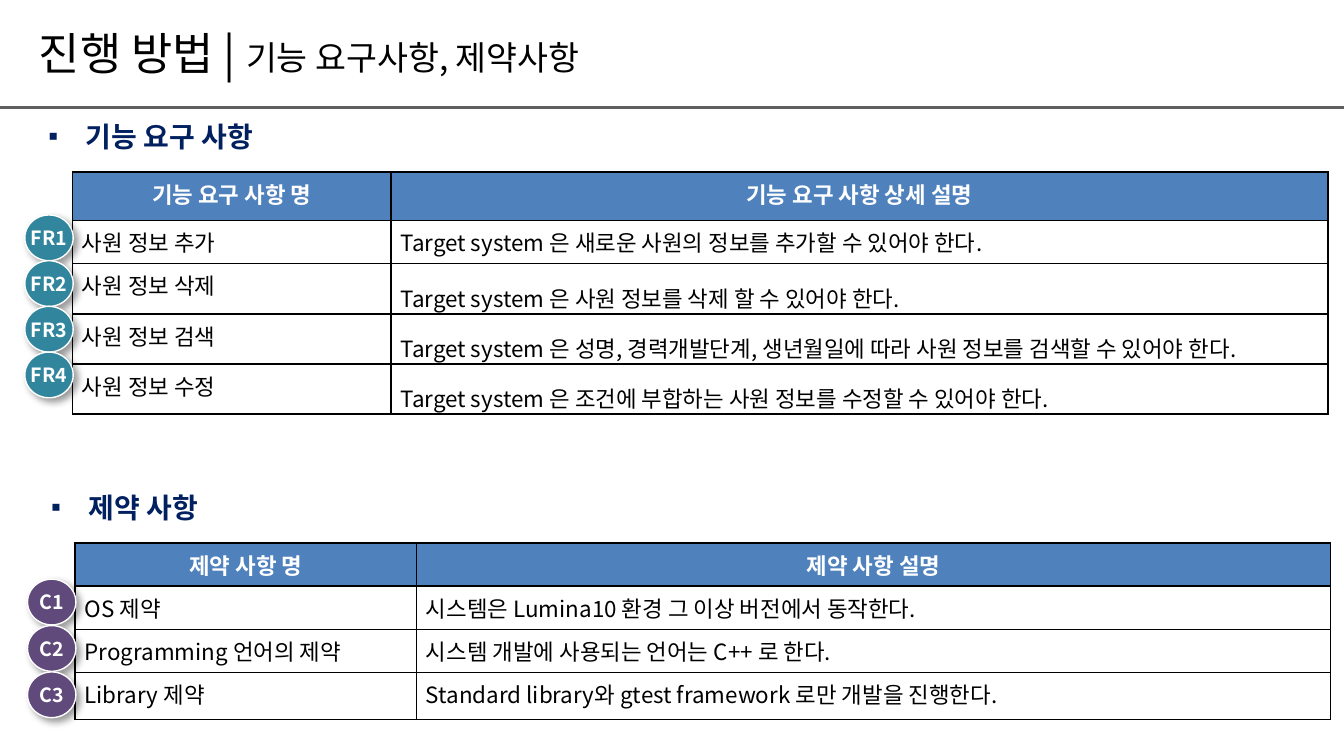
from collections import namedtuple

from lxml.etree import SubElement
from pptx import Presentation
from pptx.dml.color import RGBColor
from pptx.enum.shapes import MSO_CONNECTOR, MSO_SHAPE
from pptx.enum.text import MSO_ANCHOR, MSO_AUTO_SIZE, PP_ALIGN
from pptx.oxml.ns import qn
from pptx.util import Inches, Pt

FONT = "Noto Sans CJK KR"
BLACK, WHITE, NAVY = "000000", "FFFFFF", "002060"
HEADER_BLUE, RULE_GRAY = "4F81BD", "5F5F5F"
TEAL, PURPLE = "31859C", "604A7B"
COLUMNS, ROWS = 100, 56.25

Box = namedtuple("Box", "left top width height")
Section = namedtuple(
    "Section", "heading columns rows cells spaced_rows badges badge_top badge_pitch badge_color"
)

FUNCTIONS = Section(
    heading="기능 요구 사항",
    columns=(23.7, 69.7),
    rows=(3.6, 3, 2.8, 3.1, 2.9),
    cells=(
        ("기능 요구 사항 명", "기능 요구 사항 상세 설명"),
        ("사원 정보 추가", "Target system 은 새로운 사원의 정보를 추가할 수 있어야 한다."),
        ("사원 정보 삭제", "Target system 은 사원 정보를 삭제 할 수 있어야 한다."),
        ("사원 정보 검색", "Target system 은 성명, 경력개발단계, 생년월일에 따라 사원 정보를 검색할 수 있어야 한다."),
        ("사원 정보 수정", "Target system 은 조건에 부합하는 사원 정보를 수정할 수 있어야 한다."),
    ),
    spaced_rows=(2, 3, 4),
    badges=("FR1", "FR2", "FR3", "FR4"),
    badge_top=3.2,
    badge_pitch=3.4,
    badge_color=TEAL,
)
CONSTRAINTS = Section(
    heading="제약 사항",
    columns=(25.4, 68),
    rows=(3.2, 3.2, 3.2, 3.5),
    cells=(
        ("제약 사항 명", "제약 사항 설명"),
        ("OS 제약", "시스템은 Lumina10 환경 그 이상 버전에서 동작한다."),
        ("Programming 언어의 제약", "시스템 개발에 사용되는 언어는 C++ 로 한다."),
        ("Library 제약", "Standard library와 gtest framework 로만 개발을 진행한다."),
    ),
    spaced_rows=(),
    badges=("C1", "C2", "C3"),
    badge_top=2.7,
    badge_pitch=3.45,
    badge_color=PURPLE,
)


def color(hex_value):
    return RGBColor.from_string(hex_value)


def grid(units):
    return Inches(units / 10)


def place(shape, box):
    shape.left, shape.top, shape.width, shape.height = map(grid, box)


def set_margins(target, horizontal, top, bottom):
    target.margin_left = target.margin_right = Inches(horizontal)
    target.margin_top, target.margin_bottom = Inches(top), Inches(bottom)


def set_font(paragraph, hex_value, size=None, bold=False):
    font = paragraph.font
    font.name, font.bold = FONT, bold
    font.color.rgb = color(hex_value)
    if size:
        font.size = Pt(size)
    defaults = paragraph._p.pPr.find(qn("a:defRPr"))
    defaults.set("kern", "0")
    SubElement(defaults, qn("a:ea"), typeface=FONT)


def add_title(slide, box):
    title = slide.shapes.title
    place(title, box)
    frame = title.text_frame
    frame.auto_size = MSO_AUTO_SIZE.NONE
    frame.vertical_anchor = MSO_ANCHOR.TOP
    set_margins(frame, 0.09, 0.04, 0.04)
    paragraph = frame.paragraphs[0]
    paragraph.alignment = PP_ALIGN.LEFT
    for text, size in (("진행 방법 | ", 24), ("기능 요구사항, 제약사항", 18)):
        run = paragraph.add_run()
        run.text = text
        run.font.size = Pt(size)
    set_font(paragraph, BLACK)


def add_rule(slide, top):
    rule = slide.shapes.add_connector(
        MSO_CONNECTOR.STRAIGHT, 0, grid(top), grid(COLUMNS), grid(top)
    )
    rule.line.color.rgb = color(RULE_GRAY)
    rule.line.width = Pt(2)
    SubElement(rule._element.spPr, qn("a:effectLst"))


def add_heading(placeholder, text, box):
    place(placeholder, box)
    frame = placeholder.text_frame
    frame.auto_size = MSO_AUTO_SIZE.NONE
    frame.text = text
    paragraph = frame.paragraphs[0]
    paragraph.space_before = Pt(0)
    properties = paragraph._p.get_or_add_pPr()
    properties.set("marL", str(Inches(0.28)))
    properties.set("indent", str(-Inches(0.28)))
    SubElement(properties, qn("a:buFont"), typeface="Arial")
    SubElement(properties, qn("a:buChar"), char="▪")
    set_font(paragraph, NAVY, 15, True)


def add_borders(cell):
    properties = cell._tc.get_or_add_tcPr()
    for side in ("lnL", "lnR", "lnT", "lnB"):
        border = SubElement(properties, qn(f"a:{side}"), w=str(Pt(1)))
        fill = SubElement(border, qn("a:solidFill"))
        SubElement(fill, qn("a:srgbClr"), val=BLACK)


def add_requirements(slide, section, box):
    table = slide.shapes.add_table(
        len(section.rows), len(section.columns), *map(grid, box)
    ).table
    for column, width in zip(table.columns, section.columns):
        column.width = grid(width)
    for row_index, (height, texts) in enumerate(zip(section.rows, section.cells)):
        table.rows[row_index].height = grid(height)
        header = row_index == 0
        for column_index, text in enumerate(texts):
            cell = table.cell(row_index, column_index)
            cell.text = text
            spaced = column_index == 1 and row_index in section.spaced_rows
            set_margins(cell, 0.07, *((0.01, 0) if spaced else (0.04, 0.04)))
            add_borders(cell)
            cell.fill.solid()
            cell.fill.fore_color.rgb = color(HEADER_BLUE if header else WHITE)
            paragraph = cell.text_frame.paragraphs[0]
            paragraph.alignment = PP_ALIGN.CENTER if header else PP_ALIGN.LEFT
            if spaced:
                paragraph.line_spacing = 1.5
            set_font(paragraph, WHITE if header else BLACK, 12, header)


def add_badge(slide, text, fill_color, box):
    badge = slide.shapes.add_shape(MSO_SHAPE.OVAL, *map(grid, box))
    badge.fill.solid()
    badge.fill.fore_color.rgb = color(fill_color)
    badge.line.color.rgb = color(WHITE)
    badge.line.width = Pt(0.75)
    badge.shadow.inherit = False
    effects = badge._element.spPr.find(qn("a:effectLst"))
    shadow = SubElement(
        effects, qn("a:outerShdw"), blurRad=str(Pt(4)), dist=str(Pt(3)), dir=str(45 * 60000)
    )
    shade = SubElement(shadow, qn("a:srgbClr"), val=BLACK)
    SubElement(shade, qn("a:alpha"), val="40000")
    frame = badge.text_frame
    frame.word_wrap = False
    frame.vertical_anchor = MSO_ANCHOR.MIDDLE
    set_margins(frame, 0.1, 0.07, 0.07)
    frame.text = text
    paragraph = frame.paragraphs[0]
    paragraph.alignment = PP_ALIGN.CENTER
    set_font(paragraph, WHITE, 10.5, True)


def add_section(slide, placeholder, section, box):
    add_heading(placeholder, section.heading, Box(box.left - 2.8, box.top, box.width, 4))
    table_top = box.top + 4.4
    add_requirements(
        slide, section, Box(box.left, table_top, box.width, sum(section.rows))
    )
    for index, text in enumerate(section.badges):
        top = table_top + section.badge_top + index * section.badge_pitch
        add_badge(slide, text, section.badge_color, Box(box.left - 3.55, top, 3.6, 3.4))


def main():
    presentation = Presentation()
    presentation.slide_width, presentation.slide_height = grid(COLUMNS), grid(ROWS)
    slide = presentation.slides.add_slide(presentation.slide_layouts[3])
    add_title(slide, Box(2, 1.5, 70.1, 4.9))
    add_rule(slide, 8)
    add_section(slide, slide.placeholders[1], FUNCTIONS, Box(5.4, 8.4, 93.4, 22))
    add_section(slide, slide.placeholders[2], CONSTRAINTS, Box(5.6, 36, 93.4, 18))
    presentation.save("out.pptx")


if __name__ == "__main__":
    main()
